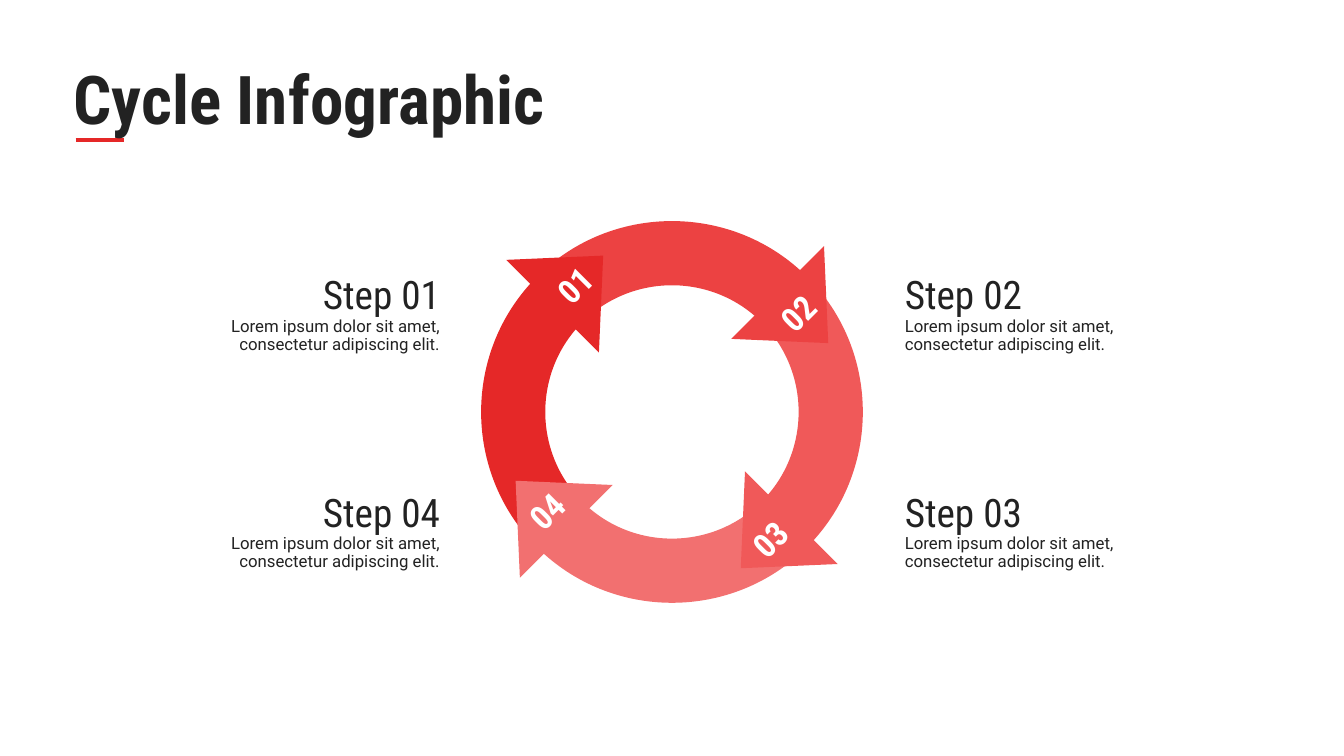
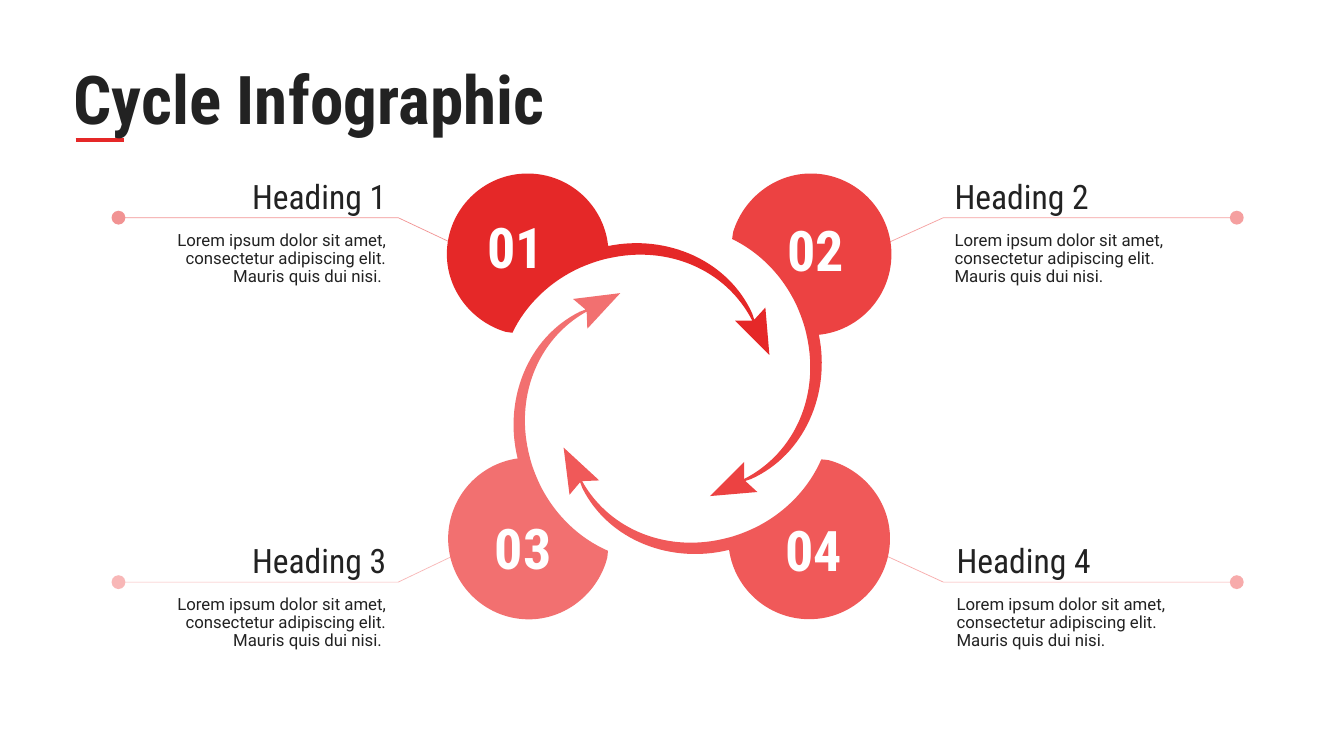
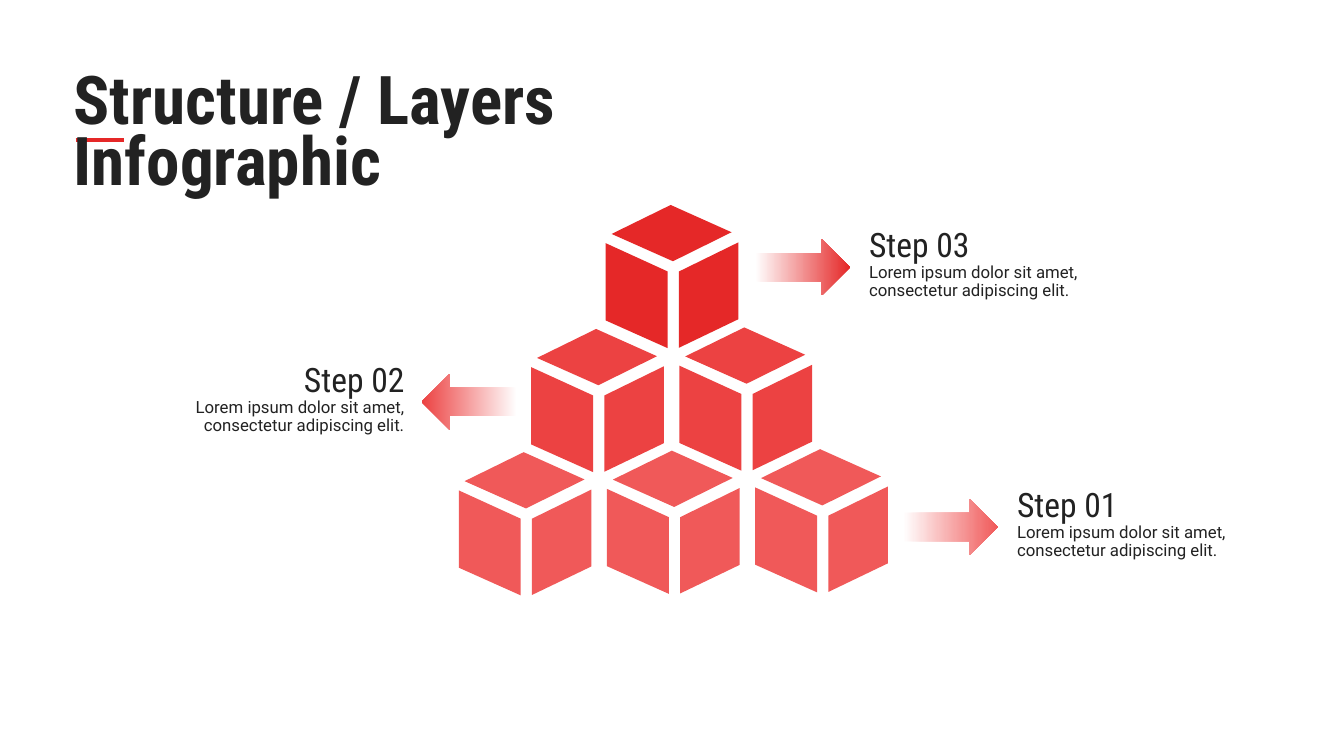
from math import cos, radians, sin, sqrt

from lxml.etree import SubElement
from pptx import Presentation
from pptx.dml.color import RGBColor
from pptx.enum.shapes import MSO_CONNECTOR as Connector, MSO_SHAPE as Preset
from pptx.enum.text import MSO_ANCHOR as Anchor, MSO_AUTO_SIZE as AutoSize, PP_ALIGN as Align
from pptx.oxml.ns import qn
from pptx.util import Emu, Pt

COLUMNS, ROWS, CELL = 160, 90, 76200
COLORS = {"ink": "222222", "white": "FFFFFF", "step1": "E52828",
          "step2": "EC4242", "step3": "F05959", "step4": "F27070"}
HEAD_FONT, BODY_FONT = "Roboto Condensed", "Roboto"
LOREM = "Lorem ipsum dolor sit amet, consectetur adipiscing elit."
LONG_LOREM = LOREM + " Mauris quis dui nisi."
INSETS = (1.2, 0.6, 1.2, 0.6)
ROUND = 0.55
PETAL = [(26.76, 7.08),
         (23.88, 0.72), (16.56, -2.4), (9.6, -0.96),
         (9.12, -5.76), (5.04, -9.6), (0, -9.6),
         (-5.28, -9.6), (-9.6, -5.28), (-9.6, 0),
         (-9.6, 4.32), (-6.6, 8.04), (-2.64, 9.24),
         (-2.4, 9.24), (-2.16, 9.36), (-1.8, 9.36),
         (-0.24, 6.12), (2.52, 3.36), (6.12, 1.68),
         (8.28, 0.72), (9.72, 0.48), (9.72, 0.48),
         (16.68, -1.08), (23.64, 1.8), (26.76, 7.92),
         (24.72, 7.92), (28.8, 12), (28.32, 6.36), (27, 7.8)]
PETAL_KINDS = "CCCCCCCCLLLL"


def cells(count):
    """Turn grid cells into a length."""
    return Emu(round(count * CELL))


def rgb(name):
    """Look up a colour by name."""
    return RGBColor.from_string(COLORS[name])


def turned(points, degrees, center):
    """Turn points clockwise about the origin, then move them to center."""
    c, s = cos(radians(degrees)), sin(radians(degrees))
    return [(center[0] + x * c - y * s, center[1] + x * s + y * c) for x, y in points]


def format_text(para, font, size, color="ink", bold=False):
    """Format every run of a paragraph."""
    for span in para.runs:
        span.font.name, span.font.size, span.font.bold = font, Pt(size), bold
        span.font.color.rgb = rgb(color)


def set_insets(frame, insets):
    """Set the left, top, right and bottom margins of a text frame."""
    (frame.margin_left, frame.margin_top,
     frame.margin_right, frame.margin_bottom) = map(cells, insets)


def bend_lines(shape, kinds):
    """Join each three points marked C into one cubic curve."""
    lines = iter(list(shape._element.iter(qn("a:lnTo"))))
    for kind in kinds:
        group = [next(lines) for _ in range(3 if kind == "C" else 1)]
        if kind == "C":
            outline = group[0].getparent()
            curve = SubElement(outline, qn("a:cubicBezTo"))
            group[0].addprevious(curve)
            for line in group:
                curve.append(line[0])
                outline.remove(line)


def add_outline(shapes, contours, color=None, closed=True, kinds=""):
    """Draw one freeform from lists of points, filled if a colour is given."""
    builder = None
    for contour in contours:
        start, *rest = [(cells(x), cells(y)) for x, y in contour]
        if builder is None:
            builder = shapes.build_freeform(*start)
        else:
            builder.move_to(*start)
        builder.add_line_segments(rest, close=closed)
    shape = builder.convert_to_shape()
    bend_lines(shape, kinds)
    shape.shadow.inherit = False
    if color:
        shape.fill.solid()
        shape.fill.fore_color.rgb = rgb(color)
        shape.line.fill.background()
    else:
        shape.fill.background()
    return shape


def add_number(shape, number, size, insets, align=Align.CENTER, anchor=Anchor.MIDDLE):
    """Write a two-digit step number in a shape."""
    frame = shape.text_frame
    frame.text = f"{number:02}"
    frame.vertical_anchor = anchor
    set_insets(frame, insets)
    frame.paragraphs[0].alignment = align
    format_text(frame.paragraphs[0], HEAD_FONT, size, "white", True)


def add_label(page, box, heading, body, size, align=Align.LEFT, tight=False):
    """Add a text box with a heading over a short text."""
    frame = page.shapes.add_textbox(*map(cells, box)).text_frame
    frame.word_wrap = True
    set_insets(frame, (1.56, 0.6, 1.56, 0.6) if tight else INSETS)
    frame.text = f"{heading}\n{body}"
    head, text = frame.paragraphs
    head.alignment = text.alignment = align
    text.line_spacing = 0.9
    if tight:
        head.line_spacing = 0.9
        text.space_before = Pt(10.7)
    format_text(head, HEAD_FONT, size)
    format_text(text, BODY_FONT, 12)


def share_rule(page):
    """Put the red title rule on the layout that all slides use."""
    rule = page.shapes.add_connector(
        Connector.STRAIGHT, *map(cells, (9, 16.68, 14.76, 16.68)))
    rule.line.color.rgb, rule.line.width = rgb("step1"), Pt(3)
    SubElement(rule._element.spPr, qn("a:effectLst"))
    page.slide_layout.shapes._spTree.append(rule._element)


def add_page(deck, title):
    """Add a slide with its title."""
    page = deck.slides.add_slide(deck.slide_layouts[5])
    box = page.shapes.title
    box.left, box.top, box.width, box.height = map(cells, (7.56, 8.5, 93.48, 10.08))
    frame = box.text_frame
    frame.text = title
    frame.word_wrap, frame.auto_size = True, AutoSize.NONE
    frame.vertical_anchor = Anchor.TOP
    set_insets(frame, INSETS)
    para = frame.paragraphs[0]
    para.alignment, para.line_spacing = Align.LEFT, 0.75
    format_text(para, HEAD_FONT, 48, bold=True)
    return page


def quarter_points(outer, inner):
    """Return a quarter ring centred on its own box."""
    points = [(-outer, 0), (-outer, -ROUND * outer), (-ROUND * outer, -outer), (0, -outer),
              (0, -inner), (-ROUND * inner, -inner), (-inner, -ROUND * inner), (-inner, 0)]
    return turned(points, 0, (outer / 2, outer / 2))


def add_ring(page, hub, outer=22.75, inner=15.1):
    """Draw four ring quarters with a numbered arrowhead on each."""
    ring = page.shapes.add_group_shape().shapes
    for i in range(4):
        center = turned([(-outer / sqrt(2), 0)], 90 * i, hub)[0]
        points = turned(quarter_points(outer, inner), 90 * i, center)
        add_outline(ring, [points], f"step{i + 1}", kinds="CLC").rotation = -45
    triangle = [(4.26, 0), (-4.26, -7.8), (-4.26, 7.8)]
    for i in range(4):
        center = turned([(-11.2, -15.6)], 90 * i, hub)[0]
        head = add_outline(ring, [turned(triangle, 90 * i, center)], f"step{i + 1}")
        head.rotation = -45
        insets = list(INSETS)
        insets[(i + 2) % 4] = 2.4
        add_number(head, i + 1, 24, insets)


def add_leader(page, points, color):
    """Draw a thin, half-transparent bent line that ends in a dot."""
    line = add_outline(page.shapes, [points], closed=False).line
    line.color.rgb, line.width = rgb(color), Pt(0.5)
    stroke = line._get_or_add_ln()
    SubElement(stroke.find(".//" + qn("a:srgbClr")), qn("a:alpha"), val="50000")
    SubElement(stroke, qn("a:tailEnd"), type="oval", w="lg", len="lg")


def add_cube(page, left, top, color):
    """Draw the three visible faces of a cube."""
    faces = ([(0.7, 3.45), (7.73, 0), (14.98, 3.25), (8, 6.7)],
             [(7.38, 7.92), (0, 4.55), (0, 13.75), (7.38, 17.05)],
             [(8.72, 7.92), (8.72, 17), (15.8, 13.6), (15.8, 4.45)])
    add_outline(page.shapes, [turned(face, 0, (left, top)) for face in faces], color)


def add_fading_arrow(page, left, top, color, to_left):
    """Draw a block arrow that fades from white to its tip."""
    arrow = page.shapes.add_shape(Preset.RIGHT_ARROW,
                                  *map(cells, (left, top, 11.28, 6.72)))
    arrow.shadow.inherit = False
    arrow.line.fill.background()
    arrow.fill.gradient()
    arrow.fill.gradient_angle = 0
    for stop, name in zip(arrow.fill.gradient_stops, ("white", color)):
        stop.color.rgb = rgb(name)
    if to_left:
        arrow._element.spPr.xfrm.set("flipH", "1")


def build_ring_slide(deck):
    """Build the ring cycle."""
    page = add_page(deck, "Cycle Infographic")
    share_rule(page)
    add_ring(page, (80, 49.04))
    spots = ((0, 0), (1, 0), (1, 1), (0, 1))
    for number, (column, row) in enumerate(spots, 1):
        box = (20.8 + 85.74 * column, 31.62 + 25.92 * row, 32.76, 11.28)
        add_label(page, box, f"Step {number:02}", LOREM, 28,
                  Align.LEFT if column else Align.RIGHT)


def build_petal_slide(deck):
    """Build the cycle of discs and curved arrows."""
    page = add_page(deck, "Cycle Infographic")
    petals = (
        (1, 0, 0, (62.8, 30.26), 0, (4.8, 0.6, 1.2, 4.8), Align.LEFT, Anchor.MIDDLE),
        (2, 1, 0, (96.53, 30.26), 90, (4.8, 0, 1.2, 20.4), Align.CENTER, Anchor.MIDDLE),
        (4, 1, 1, (96.36, 64.12), 177.7, (21.6, 3.6, 1.2, 0), Align.CENTER, Anchor.MIDDLE),
        (3, 0, 1, (62.96, 64.14), 267.8, (1.2, 0.6, 3.6, 4.8), Align.CENTER, Anchor.BOTTOM),
    )
    for index, petal in enumerate(petals, 1):
        number, column, row, center, turn, insets, align, anchor = petal
        color = f"step{index}"
        disc = add_outline(page.shapes, [turned(PETAL, turn, center)], color,
                           kinds=PETAL_KINDS)
        add_number(disc, number, 40, insets, align, anchor)
        near, bend, far = (103.56, 112.32, 147.24) if column else (55.8, 47.4, 14.1)
        start, level = (65.28, 69.3) if row else (29.88, 25.92)
        add_leader(page, [(near, start), (bend, level), (far, level)], color)
        left, width = (112.08 + 0.24 * row, 33) if column else (17.66, 29.88)
        body = LONG_LOREM if column else LONG_LOREM + " "
        add_label(page, (left, 20.88 + 43.4 * row, width, 13.92),
                  f"Heading {number}", body, 24,
                  Align.LEFT if column else Align.RIGHT, tight=True)


def build_cube_slide(deck):
    """Build the pyramid of cubes."""
    page = add_page(deck, "Structure / Layers Infographic")
    corners = ((54.62, 53.83), (63.24, 39.16), (72.12, 24.4))
    for row, (left, top) in enumerate(corners):
        for column in range(3 - row):
            add_cube(page, left + 17.64 * column, top - 0.18 * column, f"step{3 - row}")
    arrows = ((3, 89.9, 28.46, False), (2, 50.22, 44.48, True), (1, 107.52, 59.38, False))
    for number, left, top, to_left in arrows:
        add_fading_arrow(page, left, top, f"step{4 - number}", to_left)
        shift = -31.36 if to_left else 12.38
        add_label(page, (left + shift, top - 2.4, 30.48, 10.44), f"Step {number:02}",
                  LOREM, 24, Align.RIGHT if to_left else Align.LEFT)


def main():
    """Build and save the deck."""
    deck = Presentation()
    deck.slide_width, deck.slide_height = cells(COLUMNS), cells(ROWS)
    build_ring_slide(deck)
    build_petal_slide(deck)
    build_cube_slide(deck)
    deck.save("out.pptx")


if __name__ == "__main__":
    main()
